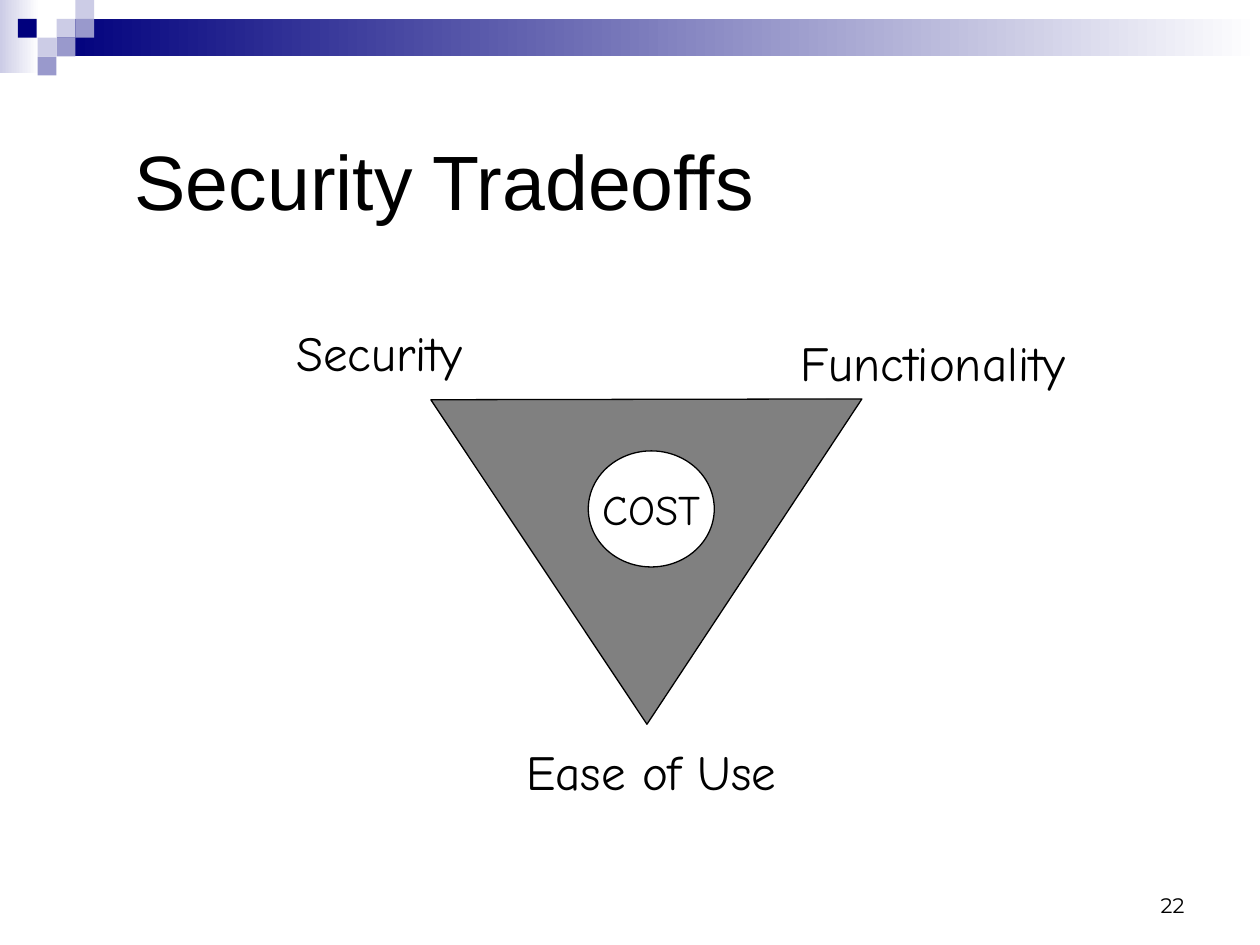
"""Build the Security Tradeoffs slide: a triangle of three goals around cost."""
from pptx import Presentation
from pptx.dml.color import RGBColor
from pptx.enum.shapes import MSO_SHAPE as Preset
from pptx.enum.text import MSO_ANCHOR as Anchor, MSO_AUTO_SIZE as AutoSize, PP_ALIGN as Align
from pptx.util import Cm, Pt

BLACK = RGBColor(0x00, 0x00, 0x00)
WHITE = RGBColor(0xFF, 0xFF, 0xFF)
GRAY = RGBColor(0x80, 0x80, 0x80)
NAVY = RGBColor(0x00, 0x00, 0x7D)
LAVENDER = RGBColor(0xCC, 0xCC, 0xE6)
PERIWINKLE = RGBColor(0x99, 0x99, 0xCC)

TITLE = "Security Tradeoffs"
PAGE_NUMBER = "22"
TITLE_AREA = (2.46, 2.03, 20.5, 3.18)
NUMBER_AREA = (18.21, 17.35, 5.92, 1.27)
TRIANGLE_AREA = (8.69, 8.05, 8.69, 6.55)
COST_AREA = (11.86, 9.09, 2.54, 2.34)
GOALS = [
    ("Security", (5.72, 6.38, 4.5, 1.45)),
    ("Functionality", (15.88, 6.58, 6.48, 1.45)),
    ("Ease of Use", (10.36, 14.83, 6.02, 1.45)),
]
BANDS = [
    (LAVENDER, (0, 0, 0.79, 1.47)),
    (NAVY, (1.14, 0.38, 24.26, 0.76)),
]
TILE = 0.38
TILES = [
    (LAVENDER, 3, 1),
    (LAVENDER, 4, 0),
    (PERIWINKLE, 4, 1),
    (LAVENDER, 2, 2),
    (NAVY, 0.95, 1),
    (PERIWINKLE, 3, 2),
    (PERIWINKLE, 2, 3),
]


def lengths(area):
    return [Cm(value) for value in area]


def add_form(page, preset, area, color, fade=False, outlined=False):
    form = page.shapes.add_shape(preset, *lengths(area))
    form.shadow.inherit = False
    if fade:
        form.fill.gradient()
        form.fill.gradient_angle = 0
        for stop, stop_color in zip(form.fill.gradient_stops, (color, WHITE)):
            stop.color.rgb = stop_color
    else:
        form.fill.solid()
        form.fill.fore_color.rgb = color
    if outlined:
        form.line.color.rgb = BLACK
        form.line.width = Pt(0.75)
    else:
        form.line.fill.background()
    return form


def write(box, text, font="Comic Neue", size=28, align=Align.LEFT,
          anchor=Anchor.TOP, wrap=False, fit=AutoSize.NONE):
    frame = box.text_frame
    frame.word_wrap = wrap
    frame.auto_size = fit
    frame.vertical_anchor = anchor
    para = frame.paragraphs[0]
    para.alignment = align
    span = para.add_run()
    span.text = text
    span.font.name = font
    span.font.size = Pt(size)
    span.font.color.rgb = BLACK


def main():
    deck = Presentation()
    deck.slide_width, deck.slide_height = Cm(25.4), Cm(19.05)
    page = deck.slides.add_slide(deck.slide_layouts[5])

    for color, area in BANDS:
        add_form(page, Preset.RECTANGLE, area, color, fade=True)
    for color, column, row in TILES:
        add_form(page, Preset.RECTANGLE, (column * TILE, row * TILE, TILE, TILE), color)

    title = page.shapes.title
    title.left, title.top, title.width, title.height = lengths(TITLE_AREA)
    write(title, TITLE, font="Arial", size=44, anchor=Anchor.MIDDLE, wrap=True)

    number = page.shapes.add_textbox(*lengths(NUMBER_AREA))
    write(number, PAGE_NUMBER, font="Montserrat", size=12, align=Align.RIGHT,
          anchor=Anchor.BOTTOM, wrap=True)

    triangle = add_form(page, Preset.ISOSCELES_TRIANGLE, TRIANGLE_AREA, GRAY, outlined=True)
    triangle.rotation = 179.9
    cost = add_form(page, Preset.OVAL, COST_AREA, WHITE, outlined=True)
    write(cost, "COST", size=24, align=Align.CENTER, anchor=Anchor.MIDDLE)

    for goal, area in GOALS:
        label = page.shapes.add_textbox(*lengths(area))
        write(label, goal, fit=AutoSize.SHAPE_TO_FIT_TEXT)

    deck.save("out.pptx")


if __name__ == "__main__":
    main()
